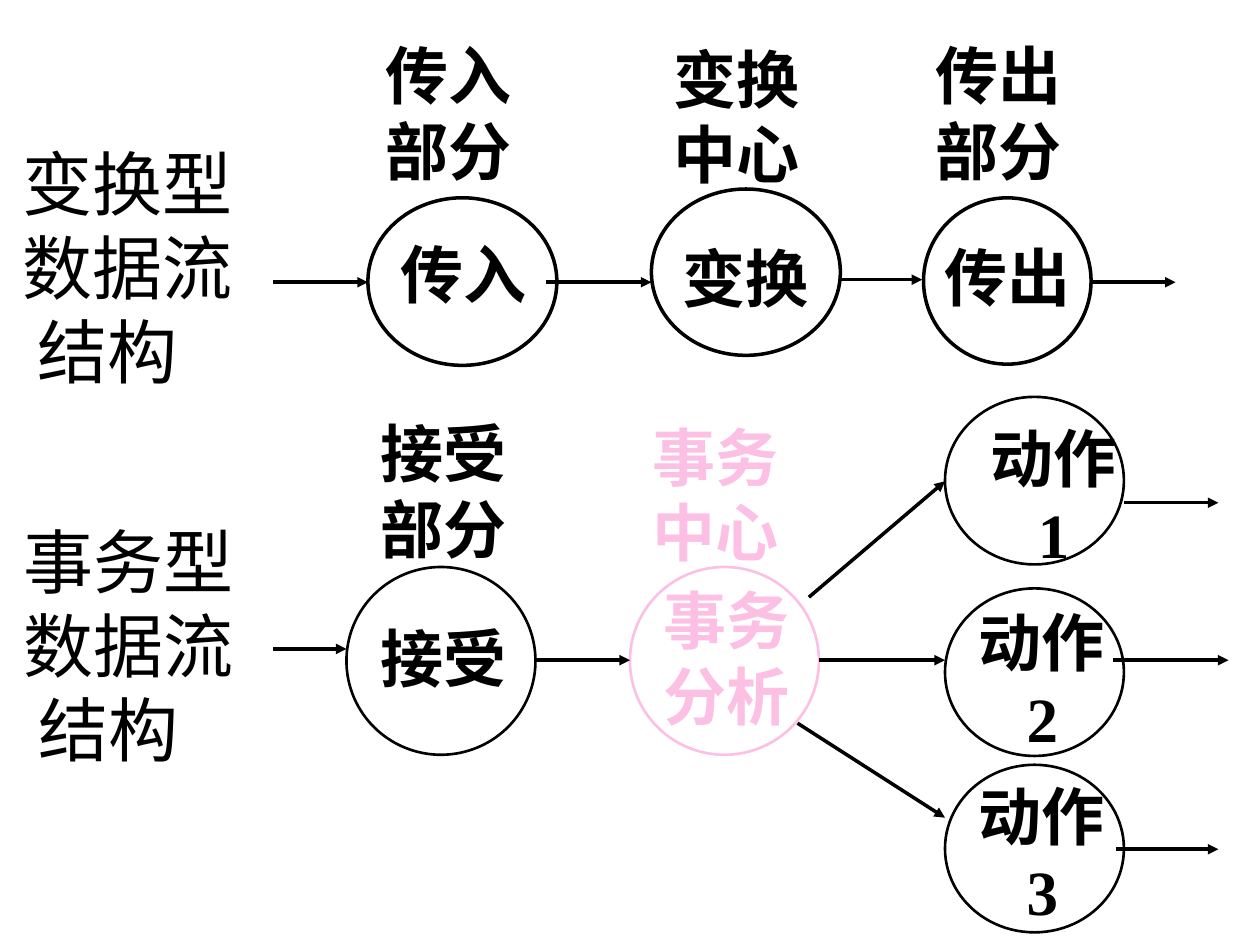
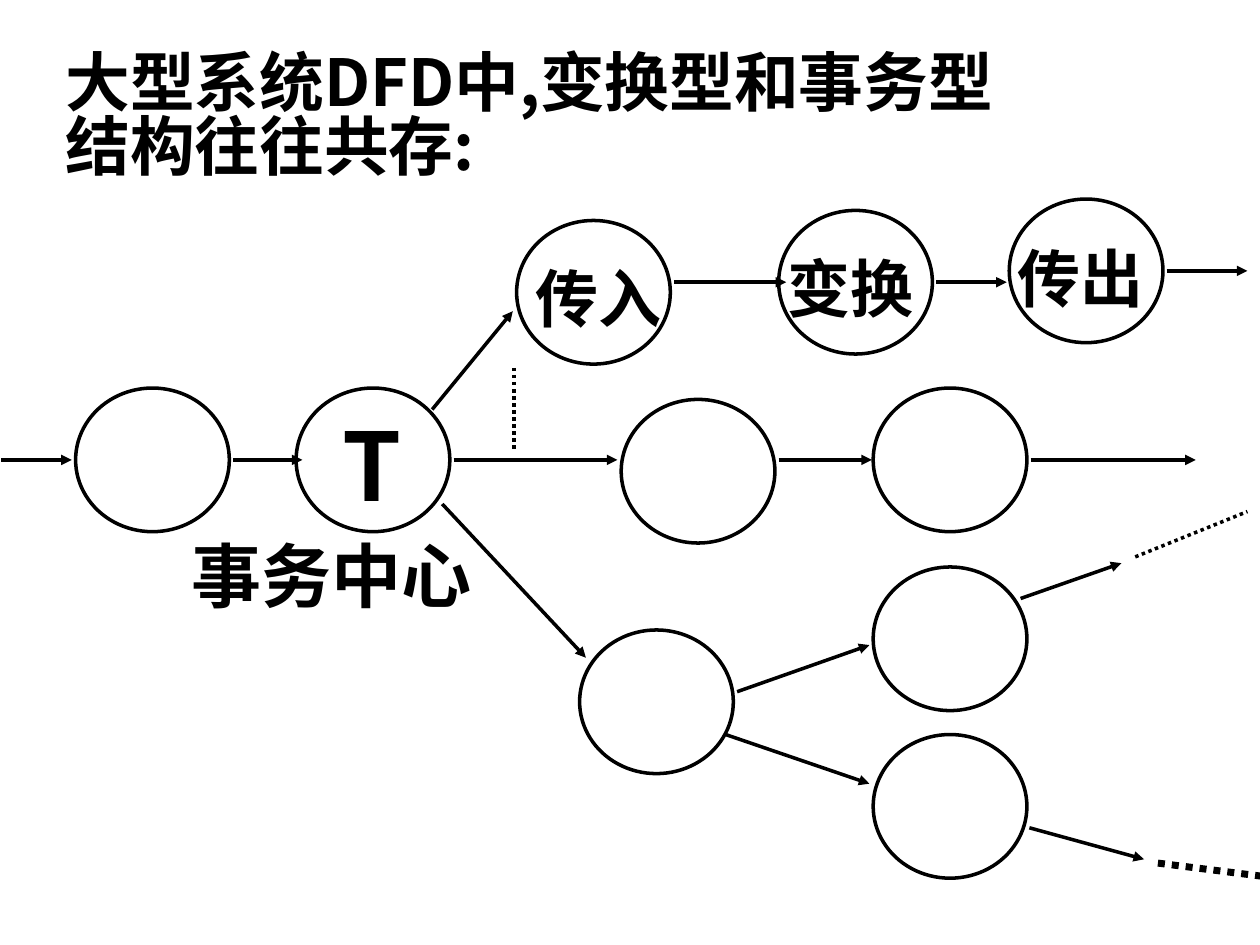
import pptx
import pptx.util
import pptx.dml.color
import pptx.enum.dml
import pptx.enum.shapes
import pptx.enum.text
import pptx.oxml.ns
import lxml.etree

# Shared look: 100 px to the inch
PX = 9144
BLACK = pptx.dml.color.RGBColor(0x00, 0x00, 0x00)
WHITE = pptx.dml.color.RGBColor(0xFF, 0xFF, 0xFF)
PINK = pptx.dml.color.RGBColor(0xFD, 0xC0, 0xE5)
SANS = "Noto Sans CJK SC"
HEADING = "Noto Sans CJK JP"
SERIF = "Times New Roman"
qn = pptx.oxml.ns.qn


def write_text(box, text, size=36, bold=True, color=BLACK, latin=SANS,
               asian=SANS, last_indent=0, spacing=None, before=0):
    """Fill a box with one paragraph per line of text."""
    frame = box.text_frame
    frame.word_wrap = True
    frame.auto_size = pptx.enum.text.MSO_AUTO_SIZE.NONE
    frame.vertical_anchor = pptx.enum.text.MSO_ANCHOR.TOP
    lines = text.split("\n")
    for number, line in enumerate(lines):
        para = frame.paragraphs[0] if number == 0 else frame.add_paragraph()
        properties = para._p.get_or_add_pPr()
        is_last = number == len(lines) - 1
        properties.set("marL", str(last_indent * PX if is_last else 0))
        properties.set("indent", "0")
        lxml.etree.SubElement(properties, qn("a:buNone"))
        para.alignment = pptx.enum.text.PP_ALIGN.LEFT
        para.space_before = pptx.util.Pt(before if number else 0)
        if spacing:
            para.line_spacing = spacing
        span = para.add_run()
        span.text = line
        span.font.size = pptx.util.Pt(size)
        span.font.bold = bold
        span.font.color.rgb = color
        span.font.name = latin
        east = lxml.etree.SubElement(span._r.get_or_add_rPr(), qn("a:ea"))
        east.set("typeface", asian)


def draw_line(page, ends, width=2, dotted=False):
    """Draw an arrow, or a plain dotted line."""
    line = page.shapes.add_connector(
        pptx.enum.shapes.MSO_CONNECTOR.STRAIGHT, *[end * PX for end in ends])
    line.line.color.rgb = BLACK
    line.line.width = pptx.util.Pt(width)
    if dotted:
        line.line.dash_style = pptx.enum.dml.MSO_LINE.ROUND_DOT
    else:
        head = lxml.etree.SubElement(line.line._get_or_add_ln(), qn("a:tailEnd"))
        head.set("type", "triangle")
    lxml.etree.SubElement(line._element.spPr, qn("a:effectLst"))


deck = pptx.Presentation()
deck.slide_width = 1000 * PX
deck.slide_height = 750 * PX
types_page = deck.slides.add_slide(deck.slide_layouts[6])
mixed_page = deck.slides.add_slide(deck.slide_layouts[1])

# Circles: left, top, width, height, outline width, outline colour
types_circles = [
    (292, 157, 150, 133, 2, BLACK),
    (517, 150, 150, 132, 2, BLACK),
    (733, 157, 133, 132, 2, BLACK),
    (275, 450, 150, 149, 1.5, BLACK),
    (500, 450, 150, 149, 1.5, PINK),
]
types_circles += [(750, top, 142, 133, 1.5, BLACK) for top in (315, 467, 607)]
mixed_spots = [
    (60, 308), (235, 308),
    (410, 175), (618, 167), (801, 158),
    (493, 317), (693, 308),
    (460, 500), (693, 450), (693, 583),
]
mixed_circles = [(left, top, 122, 114, 2, BLACK) for left, top in mixed_spots]

for page, circles in ((types_page, types_circles), (mixed_page, mixed_circles)):
    for left, top, width, height, weight, color in circles:
        circle = page.shapes.add_shape(
            pptx.enum.shapes.MSO_SHAPE.OVAL,
            left * PX, top * PX, width * PX, height * PX)
        circle.shadow.inherit = False
        circle.fill.solid()
        circle.fill.fore_color.rgb = WHITE
        circle.line.color.rgb = color
        circle.line.width = pptx.util.Pt(weight)

# Arrows: from x, y to x, y
types_arrows = [
    (217, 224, 292, 224), (433, 224, 517, 224),
    (667, 222, 732, 222), (867, 224, 933, 224),
    (217, 515, 275, 515), (425, 524, 500, 524),
    (642, 474, 750, 382), (650, 524, 750, 524), (633, 574, 750, 649),
    (892, 399, 967, 399), (883, 524, 975, 524), (886, 674, 967, 674),
]
mixed_arrows = [
    (1, 365, 57, 365), (185, 365, 240, 365), (360, 365, 490, 365),
    (618, 365, 692, 365), (818, 365, 949, 365),
    (343, 325, 407, 247), (351, 400, 465, 522),
    (535, 224, 624, 224), (743, 224, 799, 224), (926, 215, 990, 215),
    (585, 549, 690, 512), (576, 583, 690, 622),
    (810, 475, 890, 447), (817, 657, 908, 682),
]
for page, arrows in ((types_page, types_arrows), (mixed_page, mixed_arrows)):
    for ends in arrows:
        draw_line(page, ends)

# Dotted continuations
draw_line(mixed_page, (408, 292, 408, 356), dotted=True)
draw_line(mixed_page, (901, 442, 990, 406), dotted=True)
draw_line(mixed_page, (919, 685, 1006, 696), width=4, dotted=True)

# Labels: left, top, width, height, text, format
row_name = dict(size=40, bold=False, last_indent=12)
types_labels = [
    (8, 107, 208, 217, "变换型\n数据流\n结构", row_name),
    (9, 407, 208, 210, "事务型\n数据流\n结构", row_name),
    (296, 24, 125, 130, "传入\n部分", {}),
    (525, 27, 132, 130, "变换\n中心", {}),
    (733, 24, 137, 130, "传出\n部分", {}),
    (308, 182, 129, 70, "传入", {}),
    (532, 185, 151, 70, "变换", {}),
    (740, 184, 151, 70, "传出", {}),
    (292, 324, 133, 130, "接受\n部分", {}),
    (508, 327, 133, 130, "事务\n中心", dict(color=PINK)),
    (292, 487, 130, 70, "接受", dict(latin=SERIF)),
    (517, 457, 133, 130, "事务\n分析", dict(color=PINK, latin=SERIF)),
]
for number, (left, top) in enumerate([(776, 328), (767, 474), (767, 612)], 1):
    types_labels.append((left, top, 127, 130, f"动作\n{number}",
                         dict(latin=SERIF, last_indent=38)))
mixed_labels = [
    (262, 318, 75, 100, "T", dict(size=54)),
    (142, 418, 291, 76, "事务中心", dict(size=40)),
    (415, 201, 126, 70, "传入", {}),
    (615, 193, 126, 70, "变换", {}),
    (798, 185, 126, 70, "传出", {}),
]
for page, labels in ((types_page, types_labels), (mixed_page, mixed_labels)):
    for left, top, width, height, text, look in labels:
        box = page.shapes.add_textbox(left * PX, top * PX, width * PX, height * PX)
        write_text(box, text, **look)

# Statement in the body placeholder; the title placeholder stays unused
title = mixed_page.shapes.title
title._element.getparent().remove(title._element)
statement = mixed_page.placeholders[1]
statement.left, statement.top = 42 * PX, 50 * PX
statement.width, statement.height = 842 * PX, 117 * PX
write_text(statement, "大型系统DFD中,变换型和事务型\n结构往往共存:",
           size=37, latin=HEADING, asian=HEADING, spacing=0.6, before=10)

deck.save("out.pptx")
